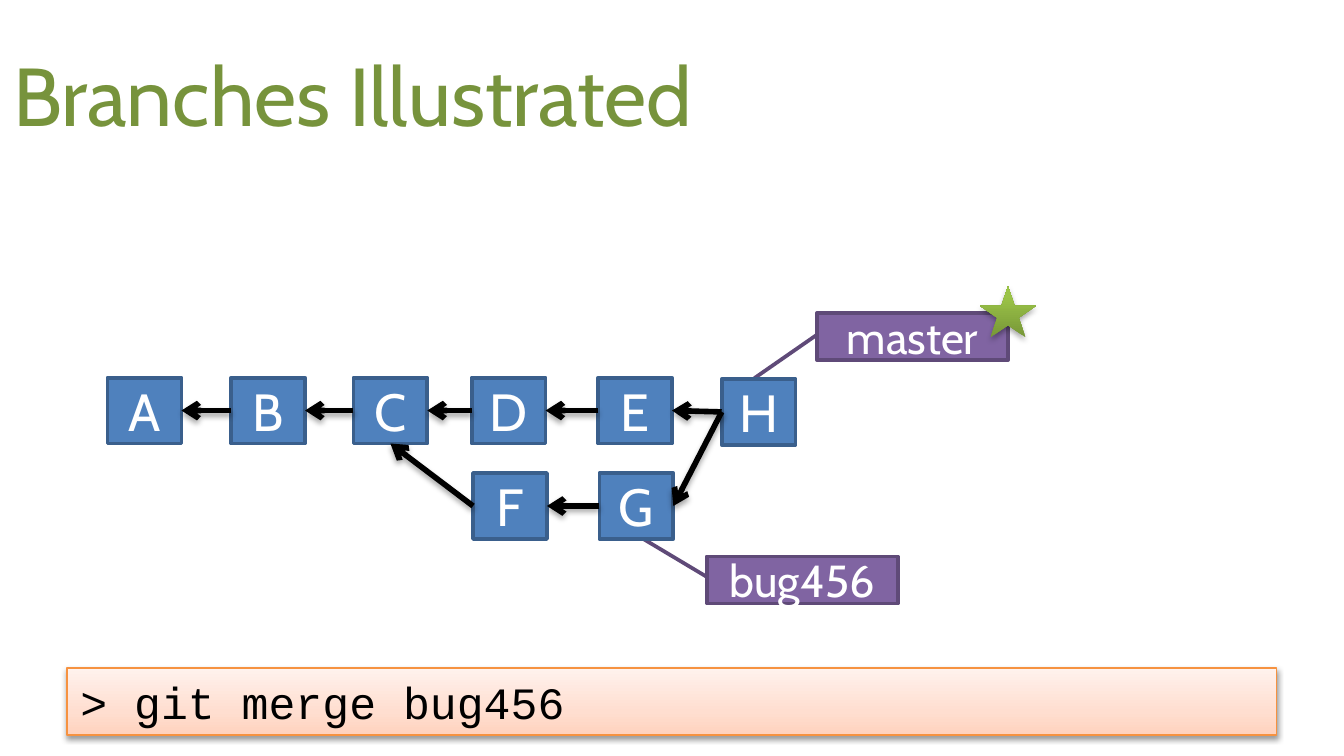
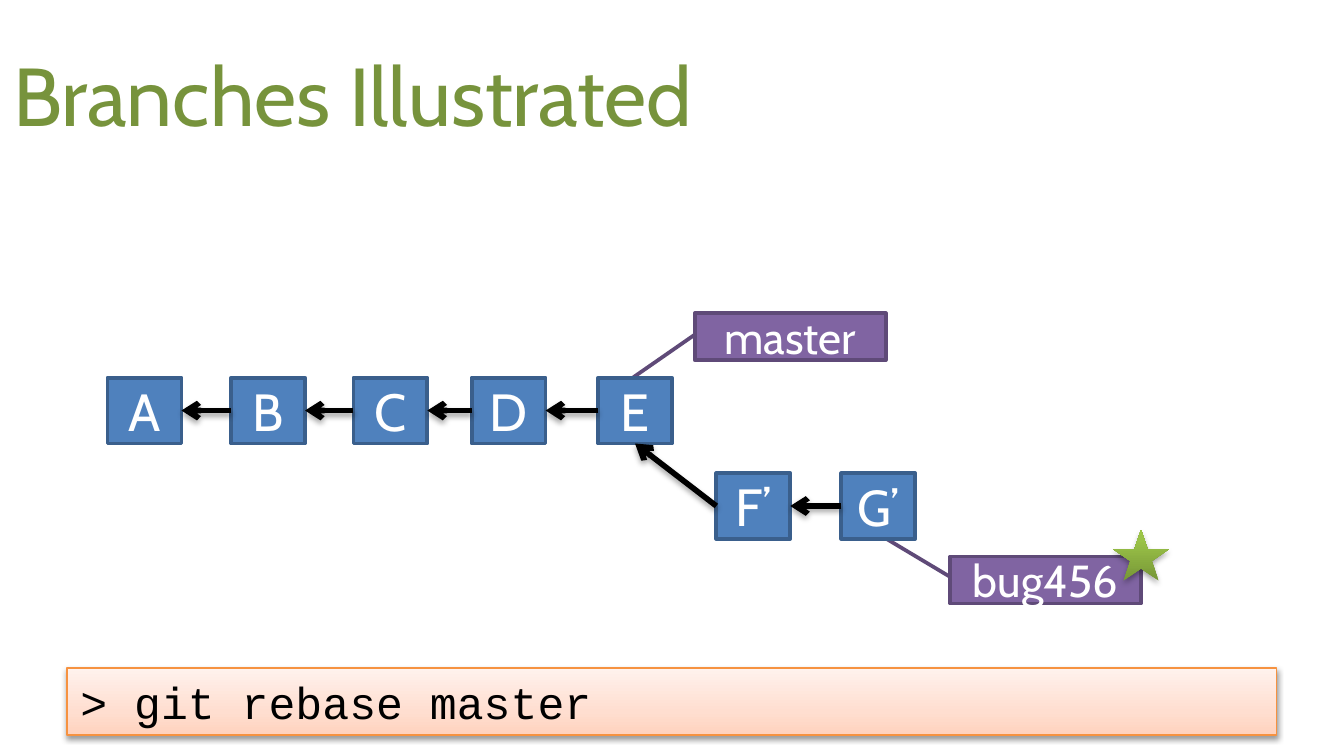
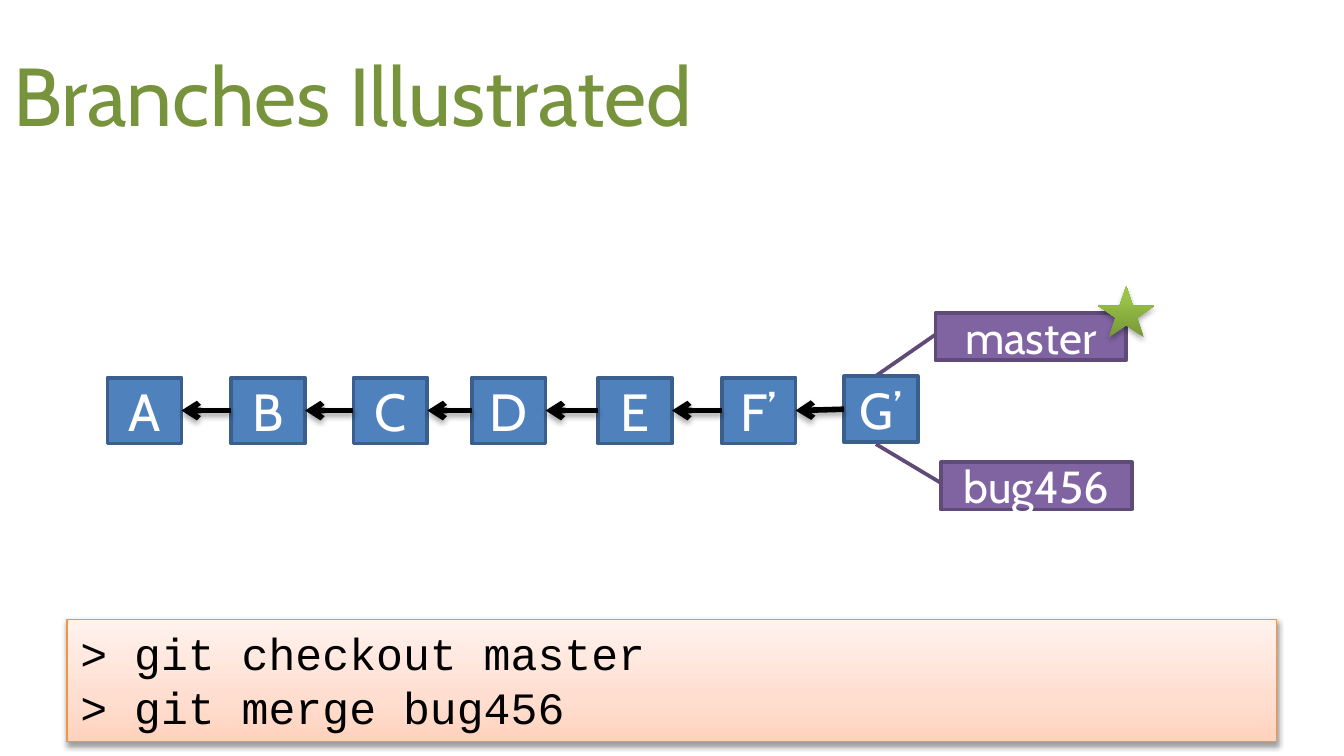
from copy import deepcopy

from pptx import Presentation
from pptx.dml.color import RGBColor
from pptx.enum.shapes import MSO_CONNECTOR, MSO_SHAPE
from pptx.enum.text import MSO_ANCHOR, MSO_AUTO_SIZE, PP_ALIGN
from pptx.oxml import parse_xml
from pptx.oxml.ns import nsdecls, qn
from pptx.util import Inches, Pt

hex_color = RGBColor.from_string

CENTERED = {"vertical_anchor": MSO_ANCHOR.MIDDLE, "word_wrap": False}
TITLE = {
    "font": {"name": "Cabin", "size": Pt(44)}, "color": "77933C", "align": PP_ALIGN.LEFT,
    "frame": {"vertical_anchor": MSO_ANCHOR.MIDDLE, "word_wrap": True},
}
COMMIT = {
    "kind": MSO_SHAPE.RECTANGLE, "fill": "4F81BD", "line": ("3A5F8C", 2),
    "font": {"name": "Cabin", "size": Pt(28)}, "color": "FFFFFF",
    "align": PP_ALIGN.CENTER, "frame": CENTERED,
}
# The apostrophe makes this name wide, so it is set a little smaller.
WIDE_COMMIT = {**COMMIT, "font": {"name": "Cabin", "size": Pt(27)}}
LABEL = {
    "kind": MSO_SHAPE.LINE_CALLOUT_1, "fill": "8064A2", "line": ("5F4A78", 2),
    "font": {"name": "Cabin", "size": Pt(24)}, "color": "FFFFFF",
    "align": PP_ALIGN.CENTER, "frame": CENTERED,
}
COMMAND = {
    "kind": MSO_SHAPE.RECTANGLE, "line": ("F69240", 0.75),
    "gradient": [(0, "FFD2BD"), (0.35, "FFDED0"), (1, "FFF2ED")],
    "shadow": (1.6, 38),
    "font": {"name": "Courier New", "size": Pt(24)}, "color": "000000",
    "align": PP_ALIGN.LEFT,
    "frame": {"vertical_anchor": MSO_ANCHOR.TOP, "word_wrap": True,
              "auto_size": MSO_AUTO_SIZE.SHAPE_TO_FIT_TEXT},
}
STAR = {
    "kind": MSO_SHAPE.STAR_5_POINT, "shadow": (1.8, 35),
    "gradient": [(0, "779737"), (0.8, "9BC348"), (1, "9DC746")],
}

COMMIT_SIZE = (0.55, 0.49)
LABEL_SIZE = (1.42, 0.35)
STAR_SIZE = (0.42, 0.38)
STAR_OFFSET = (1.21, -0.2)
UPPER_ROW, LOWER_ROW = 2.81, 3.52
TOP, LEFT, BOTTOM, RIGHT = range(4)

# Callout lines run to a commit below "master" and above "bug456".
POINTERS = {
    "master": (0.446, 0.004, 1.383, -0.329),
    "bug456": (0.446, 0.004, -0.389, -0.34),
}
MAIN_COMMITS = {
    "A": (0.8, UPPER_ROW), "B": (1.72, UPPER_ROW), "C": (2.63, UPPER_ROW),
    "D": (3.51, UPPER_ROW), "E": (4.45, UPPER_ROW),
}
MAIN_ARROWS = [(child, parent, RIGHT) for child, parent in ("BA", "CB", "DC", "ED")]

# Arrows give the child, its parent and the side of the parent that they reach.
SLIDES = [
    {
        "commits": {"F": (3.52, LOWER_ROW), "G": (4.46, LOWER_ROW), "H": (5.37, 2.82)},
        "arrows": [("F", "C", BOTTOM), ("G", "F", RIGHT), ("H", "E", RIGHT), ("H", "G", RIGHT)],
        "labels": {"master": (6.08, 2.33), "bug456": (5.26, 4.14)},
        "current": "master",
        "commands": ["> git merge bug456"],
        "command_place": (0.5, 4.97, 9, 0.5),
    },
    {
        "commits": {"F’": (5.33, LOWER_ROW), "G’": (6.26, LOWER_ROW)},
        "arrows": [("F’", "E", BOTTOM), ("G’", "F’", RIGHT)],
        "labels": {"master": (5.17, 2.33), "bug456": (7.07, 4.14)},
        "current": "bug456",
        "commands": ["> git rebase master"],
        "command_place": (0.5, 4.97, 9, 0.5),
    },
    {
        "commits": {"F’": (5.37, UPPER_ROW), "G’": (6.28, 2.8)},
        "arrows": [("F’", "E", RIGHT), ("G’", "F’", RIGHT)],
        "labels": {"master": (6.96, 2.33), "bug456": (7, 3.44)},
        "current": "master",
        "commands": ["> git checkout master", "> git merge bug456"],
        "command_place": (0.5, 4.61, 9, 0.91),
    },
]


def set_shadow(shape, distance, opacity):
    """Cast a soft black shadow downwards; distance in points, opacity in percent."""
    shape._element.spPr.append(parse_xml(
        f'<a:effectLst {nsdecls("a")}><a:outerShdw blurRad="{Pt(3.1)}" dist="{Pt(distance)}"'
        f' dir="5400000" rotWithShape="0"><a:srgbClr val="000000">'
        f'<a:alpha val="{opacity * 1000}"/></a:srgbClr></a:outerShdw></a:effectLst>'))


def add_box(page, place, style, lines=()):
    """Add a shape, or a text box if the style names no kind, and write its lines."""
    place = [Inches(length) for length in place]
    if "kind" in style:
        box = page.shapes.add_shape(style["kind"], *place)
        if "gradient" in style:
            box.fill.gradient()
            box.fill.gradient_angle = 90
            stop_list = box._element.spPr.find(qn("a:gradFill")).find(qn("a:gsLst"))
            stop_list.append(deepcopy(stop_list[-1]))
            for stop, (position, color) in zip(box.fill.gradient_stops, style["gradient"]):
                stop.position = position
                stop.color.rgb = hex_color(color)
        else:
            box.fill.solid()
            box.fill.fore_color.rgb = hex_color(style["fill"])
        if "line" in style:
            color, width = style["line"]
            box.line.color.rgb = hex_color(color)
            box.line.width = Pt(width)
        else:
            box.line.fill.background()
        if "shadow" in style:
            set_shadow(box, *style["shadow"])
        else:
            box.shadow.inherit = False
    else:
        box = page.shapes.add_textbox(*place)

    frame = box.text_frame
    for name, value in style.get("frame", {}).items():
        setattr(frame, name, value)
    for index, line in enumerate(lines):
        para = frame.add_paragraph() if index else frame.paragraphs[0]
        para.alignment = style["align"]
        span = para.add_run()
        span.text = line
        for name, value in style["font"].items():
            setattr(span.font, name, value)
        span.font.color.rgb = hex_color(style["color"])
    return box


deck = Presentation()
deck.slide_width = Inches(10)
deck.slide_height = deck.slide_width * 9 // 16

for content in SLIDES:
    page = deck.slides.add_slide(deck.slide_layouts[6])
    add_box(page, (0, 0.23, 9, 0.94), TITLE, ["Branches Illustrated"])

    for name, corner in content["labels"].items():
        label = add_box(page, corner + LABEL_SIZE, LABEL, [name])
        for index, value in enumerate(POINTERS[name]):
            label.adjustments[index] = value

    commits = {}
    for name, corner in {**MAIN_COMMITS, **content["commits"]}.items():
        style = WIDE_COMMIT if name == "G’" else COMMIT
        commits[name] = add_box(page, corner + COMMIT_SIZE, style, [name])

    for child, parent, side in MAIN_ARROWS + content["arrows"]:
        arrow = page.shapes.add_connector(MSO_CONNECTOR.STRAIGHT, 0, 0, 0, 0)
        arrow.begin_connect(commits[child], LEFT)
        arrow.end_connect(commits[parent], side)
        arrow.line.color.rgb = hex_color("000000")
        arrow.line.width = Pt(3)
        arrow.line._get_or_add_ln().append(parse_xml(f'<a:tailEnd {nsdecls("a")} type="arrow"/>'))
        set_shadow(arrow, 1.8, 35)

    add_box(page, content["command_place"], COMMAND, content["commands"])

    label_left, label_top = content["labels"][content["current"]]
    star_corner = (label_left + STAR_OFFSET[0], label_top + STAR_OFFSET[1])
    add_box(page, star_corner + STAR_SIZE, STAR)

deck.save("out.pptx")
